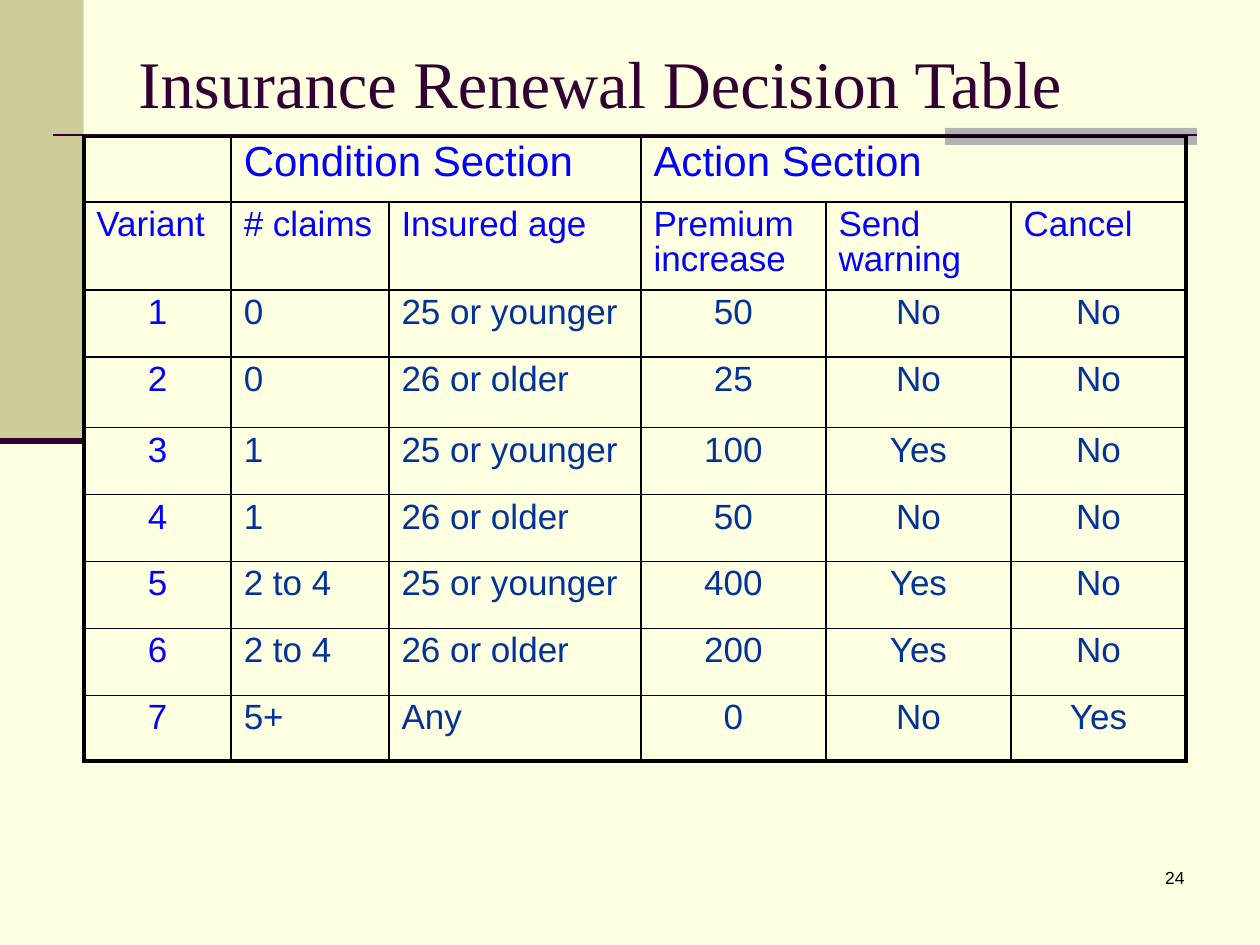
from lxml import etree
from pptx import Presentation
from pptx.dml.color import RGBColor
from pptx.enum.shapes import MSO_CONNECTOR, MSO_SHAPE
from pptx.enum.text import MSO_ANCHOR, PP_ALIGN
from pptx.oxml.ns import qn
from pptx.util import Cm, Pt

STRAIGHT = MSO_CONNECTOR.STRAIGHT
RECTANGLE = MSO_SHAPE.RECTANGLE
TOP, MIDDLE = MSO_ANCHOR.TOP, MSO_ANCHOR.MIDDLE
LEFT, CENTER, RIGHT = PP_ALIGN.LEFT, PP_ALIGN.CENTER, PP_ALIGN.RIGHT

COLORS = {
    "background": "FFFFE1",
    "band": "CCCC99",
    "accent": "B2B2B2",
    "plum": "330033",
    "black": "000000",
    "heading": "0000FF",
    "body": "003399",
}

COL_WIDTHS = [2.97, 3.18, 5.08, 3.73, 3.73, 3.53]
ROW_HEIGHTS = [1.32, 1.78, 1.35, 1.42, 1.35, 1.35, 1.35, 1.35, 1.32]
COL_ALIGN = [CENTER, LEFT, LEFT, CENTER, CENTER, CENTER]
INNER_BORDER, OUTER_BORDER = 1, 2.25

SECTIONS = ["", "Condition Section", "", "Action Section", "", ""]
HEADINGS = ["Variant", "# claims", "Insured age", "Premium increase",
            "Send warning", "Cancel"]
RULES = [
    ["1", "0", "25 or younger", "50", "No", "No"],
    ["2", "0", "26 or older", "25", "No", "No"],
    ["3", "1", "25 or younger", "100", "Yes", "No"],
    ["4", "1", "26 or older", "50", "No", "No"],
    ["5", "2 to 4", "25 or younger", "400", "Yes", "No"],
    ["6", "2 to 4", "26 or older", "200", "Yes", "No"],
    ["7", "5+", "Any", "0", "No", "Yes"],
]


def rgb(name):
    return RGBColor.from_string(COLORS[name])


def add_run(p, text, size, color, font="Arial"):
    r = p.add_run()
    r.text = text
    r.font.name = font
    r.font.size = Pt(size)
    r.font.bold = False
    r.font.color.rgb = rgb(color)


def add_rect(s, x, y, w, h, color):
    sp = s.shapes.add_shape(RECTANGLE, Cm(x), Cm(y), Cm(w), Cm(h))
    sp.shadow.inherit = False
    sp.fill.solid()
    sp.fill.fore_color.rgb = rgb(color)
    sp.line.fill.background()


def add_rule(s, x1, x2, y, width):
    sp = s.shapes.add_connector(STRAIGHT, Cm(x1), Cm(y), Cm(x2), Cm(y))
    sp.line.color.rgb = rgb("plum")
    sp.line.width = Pt(width)
    etree.SubElement(sp._element.spPr, qn("a:effectLst"))


def add_text(s, x, y, w, h, text, size, color, font, align, anchor):
    sp = s.shapes.add_textbox(Cm(x), Cm(y), Cm(w), Cm(h))
    tf = sp.text_frame
    tf.word_wrap = True
    tf.vertical_anchor = anchor
    p = tf.paragraphs[0]
    p.alignment = align
    add_run(p, text, size, color, font)


def set_borders(cell, row, col):
    last_col = col + (cell.span_width if cell.is_merge_origin else 1)
    outer = {
        "a:lnL": col == 0,
        "a:lnR": last_col == len(COL_WIDTHS),
        "a:lnT": row == 0,
        "a:lnB": row == len(ROW_HEIGHTS) - 1,
    }
    tc_pr = cell._tc.get_or_add_tcPr()
    for tag, is_outer in outer.items():
        width = Pt(OUTER_BORDER if is_outer else INNER_BORDER)
        ln = etree.SubElement(tc_pr, qn(tag), w=str(int(width)))
        fill = etree.SubElement(ln, qn("a:solidFill"))
        etree.SubElement(fill, qn("a:srgbClr"), val=COLORS["black"])


def fill_cell(cell, row, col, text):
    set_borders(cell, row, col)
    cell.fill.background()
    if not text:
        return
    p = cell.text_frame.paragraphs[0]
    p.line_spacing = 0.9
    p.alignment = COL_ALIGN[col] if row > 1 else LEFT
    color = "heading" if row < 2 or col == 0 else "body"
    add_run(p, text, 24 if row == 0 else 20, color)


def add_decision_table(s, x, y):
    rows = [SECTIONS, HEADINGS] + RULES
    frame = s.shapes.add_table(len(rows), len(COL_WIDTHS), Cm(x), Cm(y),
                               Cm(sum(COL_WIDTHS)), Cm(sum(ROW_HEIGHTS)))
    table = frame.table
    table.first_row = False
    table.horz_banding = False
    for column, width in zip(table.columns, COL_WIDTHS):
        column.width = Cm(width)
    for row, height in zip(table.rows, ROW_HEIGHTS):
        row.height = Cm(height)
    for first, last in [(1, 2), (3, 5)]:
        table.cell(0, first).merge(table.cell(0, last))
    for i, texts in enumerate(rows):
        for j, text in enumerate(texts):
            fill_cell(table.cell(i, j), i, j, text)


def main():
    prs = Presentation()
    prs.slide_width, prs.slide_height = Cm(25.4), Cm(19.05)
    s = prs.slides.add_slide(prs.slide_layouts[6])
    s.background.fill.solid()
    s.background.fill.fore_color.rgb = rgb("background")

    add_rect(s, 0, 0, 1.69, 8.89, "band")
    add_rect(s, 19.05, 2.58, 5.08, 0.34, "accent")
    add_rule(s, 1.06, 24.13, 2.72, 1.5)
    add_rule(s, 0, 1.69, 8.89, 3.5)
    add_text(s, 18.84, 17.36, 5.29, 1.27, "24", 10, "black",
             "Arial", RIGHT, TOP)
    add_text(s, 2.54, 0.76, 21.59, 1.78, "Insurance Renewal Decision Table",
             38, "plum", "Times New Roman", LEFT, MIDDLE)
    add_decision_table(s, 1.69, 2.75)
    prs.save("out.pptx")


if __name__ == "__main__":
    main()
